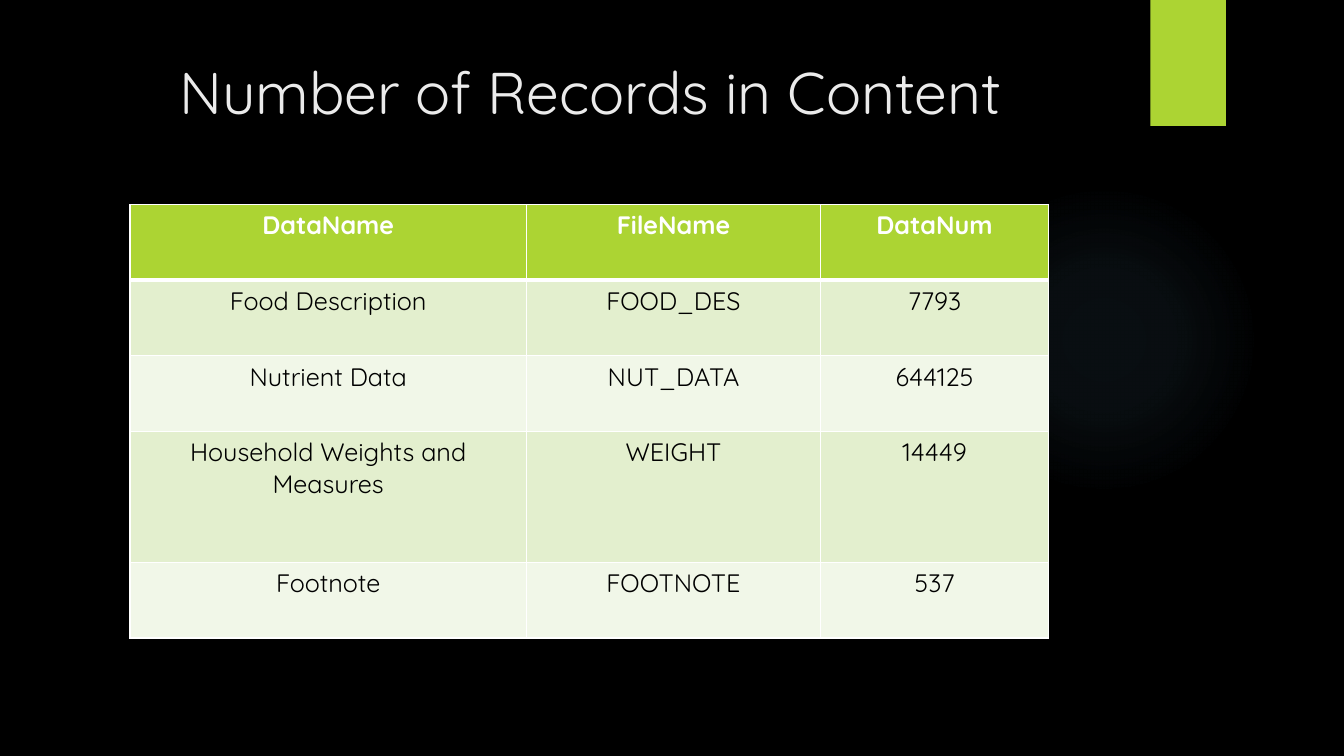
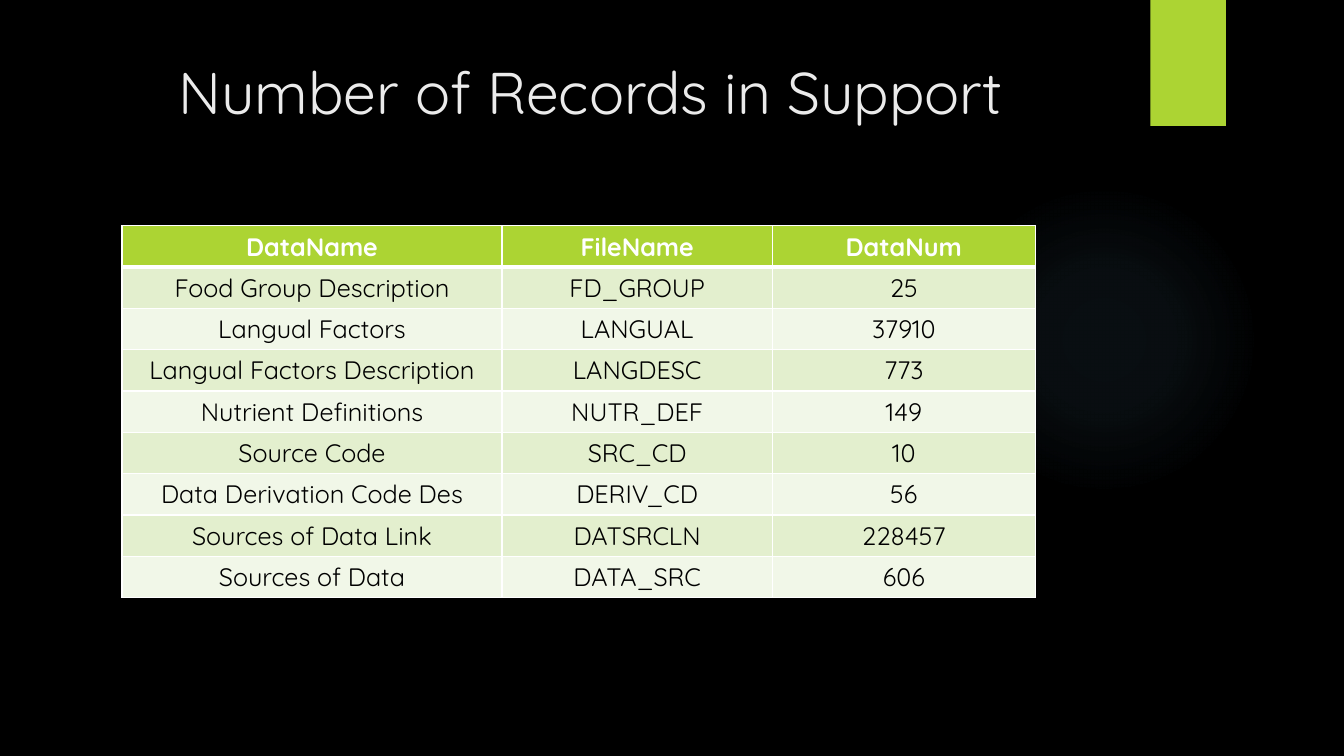
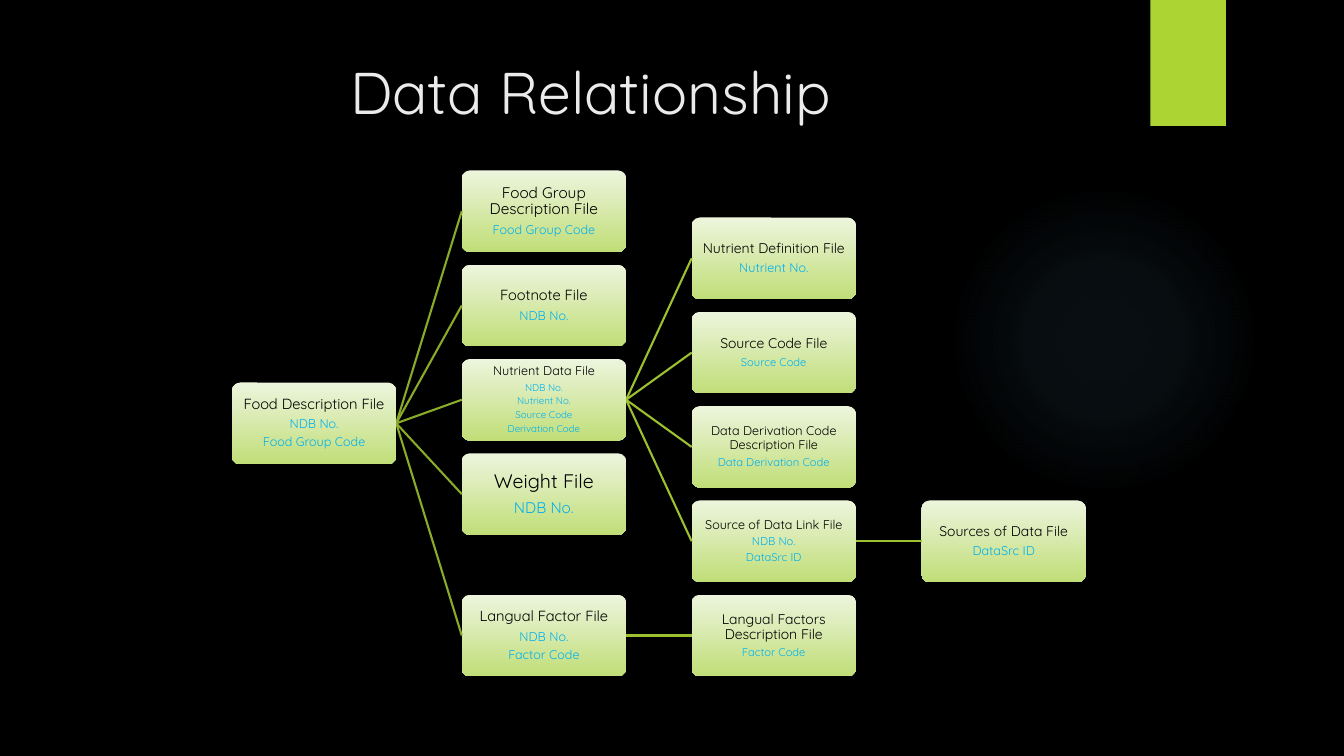
from lxml.etree import SubElement
from pptx import Presentation
from pptx.dml.color import RGBColor
from pptx.enum.shapes import MSO_CONNECTOR, MSO_SHAPE
from pptx.enum.text import MSO_ANCHOR, PP_ALIGN
from pptx.oxml import parse_xml
from pptx.oxml.ns import nsdecls, qn
from pptx.util import Inches, Pt

FONT = "Quicksand"
BLACK = RGBColor(0x00, 0x00, 0x00)
WHITE = RGBColor(0xFF, 0xFF, 0xFF)
TITLE_GREY = RGBColor(0xEB, 0xEB, 0xEB)
GREEN = RGBColor(0xAC, 0xD4, 0x33)
BAND_DARK = RGBColor(0xE3, 0xEF, 0xCE)
BAND_LIGHT = RGBColor(0xF1, 0xF7, 0xE8)
BOX_TOP = RGBColor(0xED, 0xF5, 0xDD)
BOX_BOTTOM = RGBColor(0xC0, 0xDE, 0x78)
FIELD_BLUE = RGBColor(0x00, 0xB0, 0xF0)
ROOT_LINK = RGBColor(0x8A, 0xAA, 0x29)
CHILD_LINK = RGBColor(0x9C, 0xC0, 0x2E)
GLOW = RGBColor(0x7A, 0xC4, 0xF0)
GLOW_STOPS = [(0, 7), (36, 6), (69, 0)]  # position %, opacity %

HEADER = ("DataName", "FileName", "DataNum")
CONTENT_RECORDS = [
    HEADER,
    ("Food Description", "FOOD_DES", "7793"),
    ("Nutrient Data", "NUT_DATA", "644125"),
    ("Household Weights and Measures", "WEIGHT", "14449"),
    ("Footnote", "FOOTNOTE", "537"),
]
SUPPORT_RECORDS = [
    HEADER,
    ("Food Group Description", "FD_GROUP", "25"),
    ("Langual Factors", "LANGUAL", "37910"),
    ("Langual Factors Description", "LANGDESC", "773"),
    ("Nutrient Definitions", "NUTR_DEF", "149"),
    ("Source Code", "SRC_CD", "10"),
    ("Data Derivation Code Des", "DERIV_CD", "56"),
    ("Sources of Data Link", "DATSRCLN", "228457"),
    ("Sources of Data", "DATA_SRC", "606"),
]

# Each file: name, name size, key fields, field size, slot down the tree, children
FILE_TREE = ("Food Description File", 10.5, ["NDB No.", "Food Group Code"], 9, 4.5, [
    ("Food Group Description File", 11, ["Food Group Code"], 9, 0, []),
    ("Footnote File", 10.5, ["NDB No."], 9, 2, []),
    ("Nutrient Data File", 9,
     ["NDB No.", "Nutrient No.", "Source Code", "Derivation Code"], 7, 4, [
         ("Nutrient Definition File", 10, ["Nutrient No."], 9, 1, []),
         ("Source Code File", 10, ["Source Code"], 8, 3, []),
         ("Data Derivation Code Description File", 9,
          ["Data Derivation Code"], 8, 5, []),
         ("Source of Data Link File", 9, ["NDB No.", "DataSrc ID"], 8, 7, [
             ("Sources of Data File", 10, ["DataSrc ID"], 9, 7, []),
         ]),
     ]),
    ("Weight File", 14, ["NDB No."], 11, 6, []),
    ("Langual Factor File", 10.5, ["NDB No.", "Factor Code"], 9, 9, [
        ("Langual Factors Description File", 10, ["Factor Code"], 8, 9, []),
    ]),
])
LAST_SLOT = 9
BOX_W, BOX_H, LEVEL_GAP = 1.63, 0.81, 0.65


def style(paragraph, size, color, bold=False):
    paragraph.alignment = PP_ALIGN.CENTER
    for run in paragraph.runs:
        run.font.name = FONT
        run.font.size = Pt(size)
        run.font.bold = bold
        run.font.color.rgb = color


# Shared frame: background, glow, ribbon and title
def add_plain_shape(slide, kind, left, top, width, height):
    shape = slide.shapes.add_shape(
        kind, Inches(left), Inches(top), Inches(width), Inches(height))
    shape.shadow.inherit = False
    shape.line.fill.background()
    return shape


def add_glow(slide):
    glow = add_plain_shape(slide, MSO_SHAPE.OVAL, 9.41, 1.83, 3.08, 3.08)
    stops = "".join(
        f'<a:gs pos="{pos * 1000}"><a:srgbClr val="{GLOW}">'
        f'<a:alpha val="{alpha * 1000}"/></a:srgbClr></a:gs>'
        for pos, alpha in GLOW_STOPS)
    gradient = parse_xml(
        f'<a:gradFill {nsdecls("a")} rotWithShape="1"><a:gsLst>{stops}</a:gsLst>'
        '<a:path path="circle"><a:fillToRect l="50000" t="50000" r="50000" b="50000"/>'
        '</a:path></a:gradFill>')
    glow._element.spPr.find(qn("a:prstGeom")).addnext(gradient)


def add_framed_slide(prs, title):
    slide = prs.slides.add_slide(prs.slide_layouts[6])
    slide.background.fill.solid()
    slide.background.fill.fore_color.rgb = BLACK
    add_glow(slide)
    ribbon = add_plain_shape(slide, MSO_SHAPE.RECTANGLE, 11.41, 0, 0.75, 1.25)
    ribbon.fill.solid()
    ribbon.fill.fore_color.rgb = GREEN

    heading = slide.shapes.add_textbox(
        Inches(0.71), Inches(0.5), Inches(10.29), Inches(1.53)).text_frame
    heading.word_wrap = True
    heading.text = title
    style(heading.paragraphs[0], 42, TITLE_GREY)
    return slide


# Record tables
def set_borders(cell, top, bottom):
    properties = cell._tc.get_or_add_tcPr()
    widths = {"lnL": 1, "lnR": 1, "lnT": top, "lnB": bottom}
    for position, (side, width) in enumerate(widths.items()):
        properties.insert(position, parse_xml(
            f'<a:{side} {nsdecls("a")} w="{Pt(width)}"><a:solidFill>'
            f'<a:srgbClr val="{WHITE}"/></a:solidFill></a:{side}>'))


def add_records_table(slide, left, top, column_widths, row_heights, records):
    table = slide.shapes.add_table(
        len(records), len(column_widths), Inches(left), Inches(top),
        Inches(sum(column_widths)), Inches(sum(row_heights))).table
    for column, width in zip(table.columns, column_widths):
        column.width = Inches(width)
    for r, (record, height) in enumerate(zip(records, row_heights)):
        table.rows[r].height = Inches(height)
        is_header = r == 0
        band = GREEN if is_header else BAND_DARK if r % 2 else BAND_LIGHT
        for c, value in enumerate(record):
            cell = table.cell(r, c)
            cell.text_frame.text = value
            style(cell.text_frame.paragraphs[0], 18,
                  WHITE if is_header else BLACK, is_header)
            cell.fill.solid()
            cell.fill.fore_color.rgb = band
            set_borders(cell, 3 if r == 1 else 1, 3 if is_header else 1)


# File relationship tree
def add_file_box(slide, left, top, name, name_size, fields, field_size):
    box = add_plain_shape(
        slide, MSO_SHAPE.ROUNDED_RECTANGLE, left, top, BOX_W, BOX_H)
    box.adjustments[0] = 0.1
    box.fill.gradient()
    box.fill.gradient_angle = 270
    for stop, color, position in zip(
            box.fill.gradient_stops, (BOX_TOP, BOX_BOTTOM), (0, 1)):
        stop.color.rgb = color
        stop.position = position

    frame = box.text_frame
    frame.word_wrap = True
    frame.vertical_anchor = MSO_ANCHOR.MIDDLE
    frame.margin_left = frame.margin_right = Inches(0.01)
    frame.margin_top = frame.margin_bottom = Inches(0.01)
    frame.text = "\n".join([name, *fields])
    for i, paragraph in enumerate(frame.paragraphs):
        style(paragraph, field_size if i else name_size,
              FIELD_BLUE if i else BLACK)
        paragraph.line_spacing = 0.9
        # Space after as a share of the text size
        after = SubElement(paragraph._p.get_or_add_pPr(), qn("a:spcAft"))
        SubElement(after, qn("a:spcPct")).set("val", "35000")


def add_link(slide, start, end, color):
    link = slide.shapes.add_connector(
        MSO_CONNECTOR.STRAIGHT, *(Inches(v) for v in (*start, *end)))
    link.line.color.rgb = color
    link.line.width = Pt(1.5)
    SubElement(link._element.spPr, qn("a:effectLst"))


def add_file_tree(slide, left, top, height, file, level=0):
    """Draws a file and its children; returns the middle of its left edge."""
    *box_text, slot, children = file
    x = left + level * (BOX_W + LEVEL_GAP)
    y = top + slot * (height - BOX_H) / LAST_SLOT
    middle = y + BOX_H / 2
    for child in children:
        child_edge = add_file_tree(slide, left, top, height, child, level + 1)
        add_link(slide, (x + BOX_W, middle), child_edge,
                 CHILD_LINK if level else ROOT_LINK)
    add_file_box(slide, x, y, *box_text)
    return x, middle


def main():
    prs = Presentation()
    prs.slide_width, prs.slide_height = Inches(13.33), Inches(7.5)

    content = add_framed_slide(prs, "Number of Records in Content")
    add_records_table(content, 1.29, 2.03, [3.93, 2.92, 2.26],
                      [0.75, 0.75, 0.75, 1.3, 0.75], CONTENT_RECORDS)

    support = add_framed_slide(prs, "Number of Records in Support")
    add_records_table(support, 1.21, 2.24, [3.77, 2.68, 2.61],
                      [0.41] * len(SUPPORT_RECORDS), SUPPORT_RECORDS)

    relationship = add_framed_slide(prs, "Data Relationship")
    add_file_tree(relationship, 2.3, 1.69, 5.02, FILE_TREE)

    prs.save("out.pptx")


if __name__ == "__main__":
    main()
